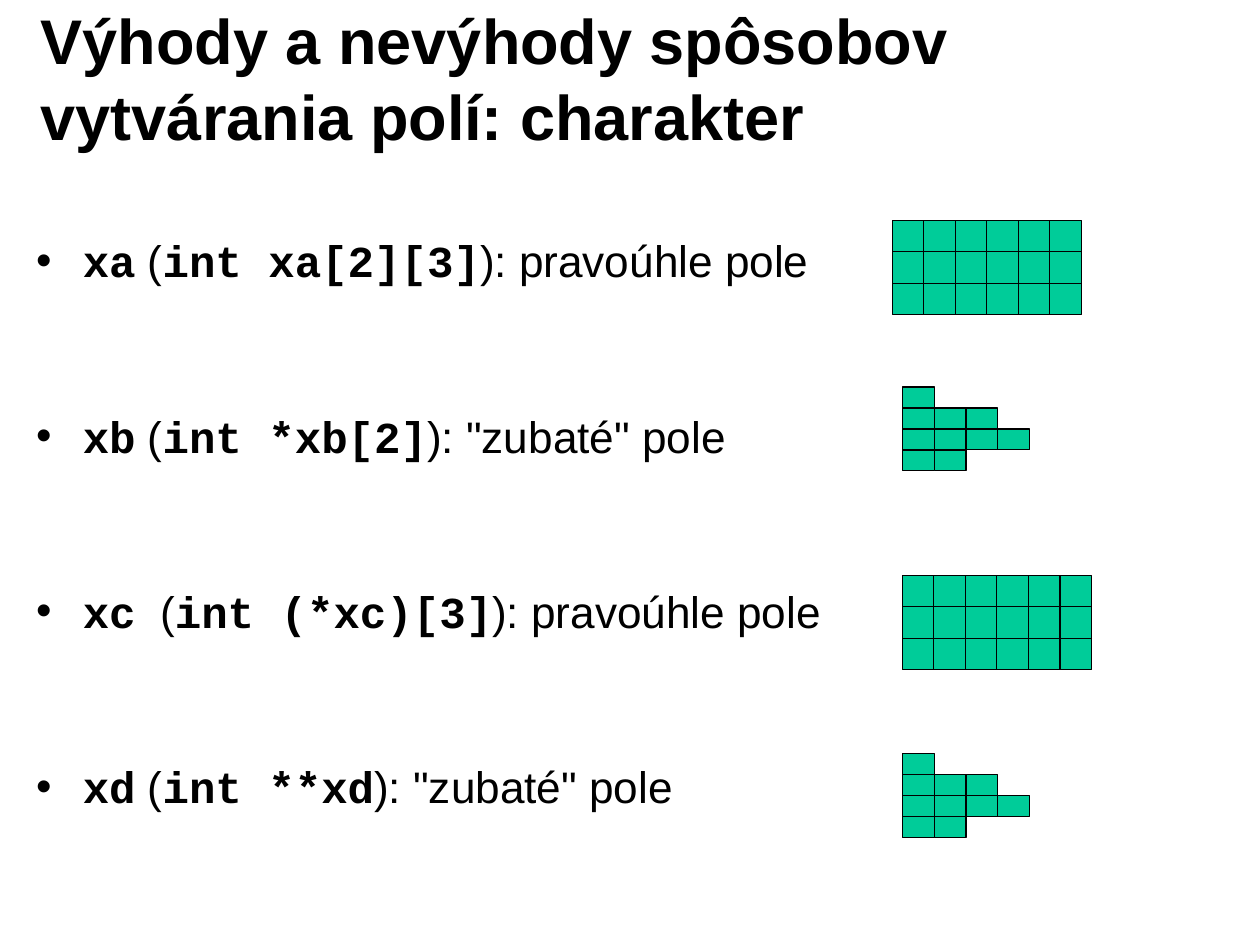
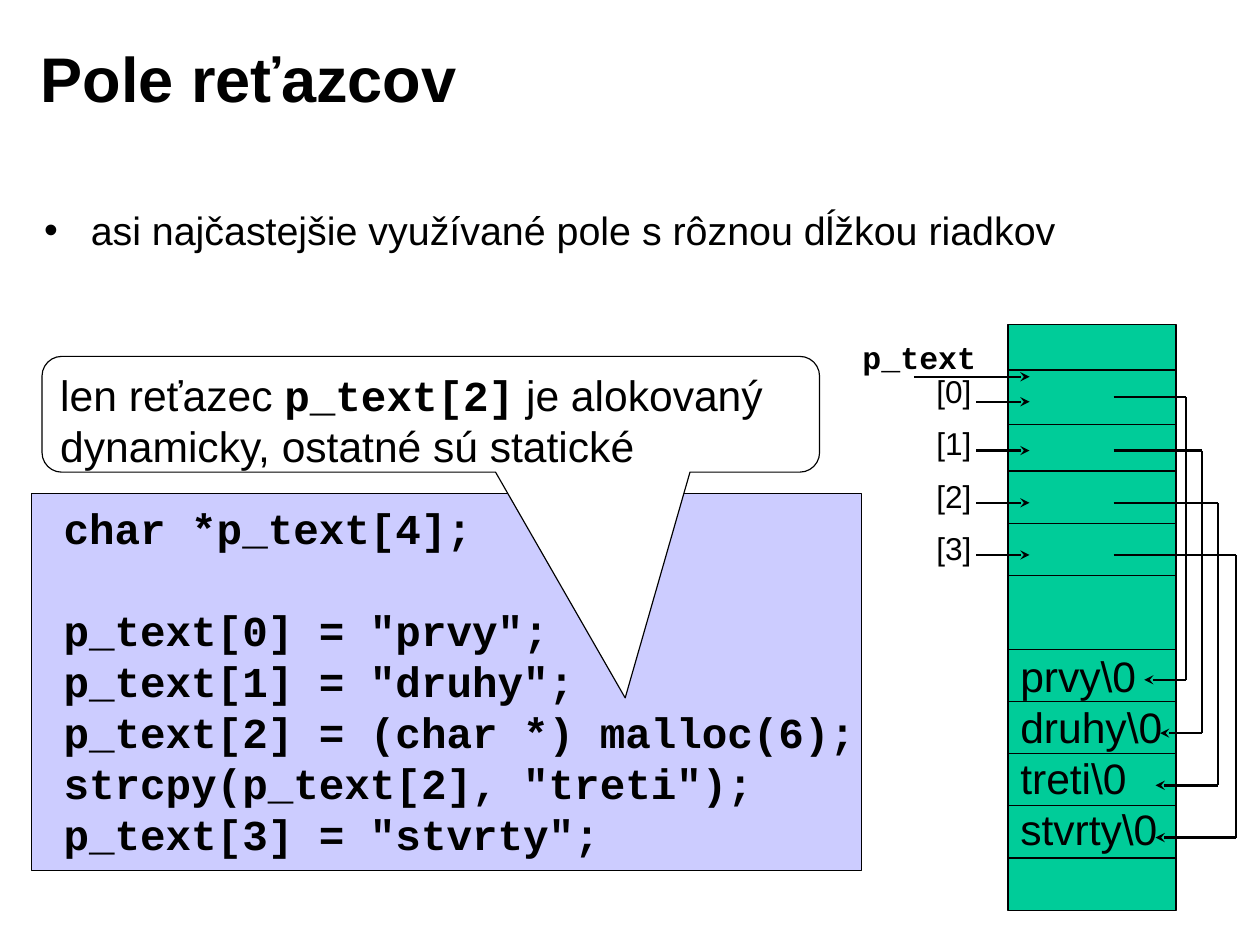
from lxml import etree
from pptx import Presentation
from pptx.dml.color import RGBColor
from pptx.enum import shapes as sh, text as tx
from pptx.oxml.ns import qn
from pptx.util import Inches, Pt

BLACK = RGBColor(0, 0, 0)
WHITE = RGBColor(255, 255, 255)
GREEN = RGBColor(0, 204, 153)
LILAC = RGBColor(204, 204, 255)
THIN, THICK = 0.74, 1.5
SANS, MONO = "Arial", "Courier New"
LEAD = 1.2
MARGIN = {"margin_left": 0.11, "margin_right": 0.11,
          "margin_top": 0.06, "margin_bottom": 0.06}


def write(frame, lines, size, bold=False, bullet=False, gaps=None,
          anchor=tx.MSO_ANCHOR.TOP, margin=MARGIN):
    """Fill a frame; words between backquotes are set as bold code."""
    frame.word_wrap = True
    frame.vertical_anchor = anchor
    for name, value in margin.items():
        setattr(frame, name, Inches(value))
    for i, line in enumerate(lines):
        para = frame.paragraphs[0] if i == 0 else frame.add_paragraph()
        form = {"alignment": tx.PP_ALIGN.LEFT, "line_spacing": Pt(LEAD * size),
                "space_before": Pt((gaps or {}).get(i, 0))}
        for name, value in form.items():
            setattr(para, name, value)
        if bullet:
            mark(para)
        for j, part in enumerate(line.split("`")):
            if not part:
                continue
            run = para.add_run()
            run.text = part
            code = j % 2 == 1
            style = {"name": MONO if code else SANS, "size": Pt(size),
                     "bold": bold or code}
            for name, value in style.items():
                setattr(run.font, name, value)
            run.font.color.rgb = BLACK


def mark(para):
    """Add a hanging bullet."""
    props = para._p.get_or_add_pPr()
    props.set("marL", str(Inches(0.41)))
    props.set("indent", str(-Inches(0.41)))
    etree.SubElement(props, qn("a:buFont")).set("typeface", SANS)
    etree.SubElement(props, qn("a:buChar")).set("char", "•")


def label(slide, x, y, w, h, lines, size, **form):
    box = slide.shapes.add_textbox(*map(Inches, (x, y, w, h)))
    write(box.text_frame, lines, size, **form)


def block(slide, x, y, w, h, fill, kind=sh.MSO_SHAPE.RECTANGLE):
    shape = slide.shapes.add_shape(kind, *map(Inches, (x, y, w, h)))
    shape.shadow.inherit = False
    shape.fill.solid()
    shape.fill.fore_color.rgb = fill
    shape.line.color.rgb = BLACK
    shape.line.width = Pt(THIN)
    return shape


def rule(slide, x1, y1, x2, y2, width=THIN, arrow=False):
    line = slide.shapes.add_connector(sh.MSO_CONNECTOR.STRAIGHT,
                                      *map(Inches, (x1, y1, x2, y2)))
    line.line.color.rgb = BLACK
    line.line.width = Pt(width)
    if arrow:
        tail = etree.SubElement(line.line._get_or_add_ln(), qn("a:tailEnd"))
        tail.set("type", "stealth")
    etree.SubElement(line._element.spPr, qn("a:effectLst"))


def grid(slide, x, y, cols=6, rows=3, side=0.2775):
    """Draw a rectangular array."""
    w, h = cols * side, rows * side
    block(slide, x, y, w, h, GREEN)
    for i in range(1, rows):
        rule(slide, x, y + i * side, x + w, y + i * side)
    for i in range(1, cols):
        rule(slide, x + i * side, y, x + i * side, y + h)


def jagged(slide, x, y, rows=(1, 3, 4, 2), w=0.28, h=0.185):
    """Draw an array with rows of unequal length."""
    for i, count in enumerate(rows):
        for j in range(count):
            block(slide, x + j * w, y + i * h, w, h, GREEN)


def page(deck, title):
    slide = deck.slides.add_slide(deck.slide_layouts[6])
    slide.background.fill.solid()
    slide.background.fill.fore_color.rgb = WHITE
    label(slide, 0.25, 0.17, 8.91, 1.02, [title], 40, bold=True,
          anchor=tx.MSO_ANCHOR.MIDDLE)
    return slide


def kinds(deck):
    slide = page(deck, "Výhody a nevýhody spôsobov vytvárania polí: charakter")
    items = ["`xa` (`int xa[2][3]`): pravoúhle pole",
             "`xb` (`int *xb[2]`): \"zubaté\" pole",
             "`xc`  (`int (*xc)[3]`): pravoúhle pole",
             "`xd` (`int **xd`): \"zubaté\" pole"]
    label(slide, 0.21, 2, 7.37, 5.33, items, 28, bullet=True,
          gaps={i: 77.6 for i in (1, 2, 3)})
    grid(slide, 7.86, 1.94)
    jagged(slide, 7.95, 3.41)
    grid(slide, 7.95, 5.07)
    jagged(slide, 7.95, 6.64)


def memory(slide):
    """Draw the memory column with its pointers."""
    left, right = 8.88, 10.36
    block(slide, left, 2.86, right - left, 5.16, GREEN)
    for y in (3.26, 3.74, 4.15, 4.61, 5.07, 5.72, 6.18, 6.64, 7.1, 7.56):
        rule(slide, left, y, right, y)
    inset = dict(zip(MARGIN, (0.1, 0.1, 0.05, 0.05)))
    label(slide, 8.89, 5.68, 1.6, 1.9,
          ["prvy\\0", "druhy\\0", "treti\\0", "stvrty\\0"], 27, margin=inset)

    # Pointer array on the left
    label(slide, 7.5, 2.93, 1.3, 0.44, ["`p_text`"], 20, margin=inset)
    rule(slide, 8.05, 3.32, 9.07, 3.32, THICK, True)
    for i, y in enumerate((3.54, 3.97, 4.43, 4.89)):
        label(slide, 8.15, 3.23 + 0.46 * i, 0.6, 0.44, [f"[{i}]"], 20,
              margin=inset)
        rule(slide, 8.6, y, 9.07, y, THICK, True)

    # Paths from each pointer to its string
    for y, bend, tip in ((3.5, 10.45, 10.08), (3.97, 10.59, 10.22),
                         (4.43, 10.73, 10.18), (4.89, 10.89, 10.18)):
        end = y + 2.49
        rule(slide, 9.81, y, bend, y, THICK)
        rule(slide, bend, y, bend, end, THICK)
        rule(slide, bend, end, tip, end, THICK, True)


def strings(deck):
    slide = page(deck, "Pole reťazcov")
    label(slide, 0.28, 1.76, 10.18, 0.55,
          ["asi najčastejšie využívané pole s rôznou dĺžkou riadkov"], 25,
          bullet=True)

    # Code panel
    block(slide, 0.28, 4.35, 7.31, 3.32, LILAC)
    code = ['char *p_text[4];', 'p_text[0] = "prvy";', 'p_text[1] = "druhy";',
            'p_text[2] = (char *) malloc(6);', 'strcpy(p_text[2], "treti");',
            'p_text[3] = "stvrty";']
    label(slide, 0.45, 4.36, 7.4, 3.26, [f"`{line}`" for line in code], 27,
          gaps={1: LEAD * 27})

    # Callout
    note = block(slide, 0.37, 3.14, 6.85, 1.02, WHITE,
                 sh.MSO_SHAPE.ROUNDED_RECTANGULAR_CALLOUT)
    for i, value in enumerate((0.25, 2.45, 0.17)):
        note.adjustments[i] = value
    write(note.text_frame, ["len reťazec `p_text[2]` je alokovaný "
                            "dynamicky, ostatné sú statické"], 27)
    memory(slide)


def main():
    deck = Presentation()
    deck.slide_width, deck.slide_height = Inches(11.1), Inches(8.3)
    kinds(deck)
    strings(deck)
    deck.save("out.pptx")


main()
